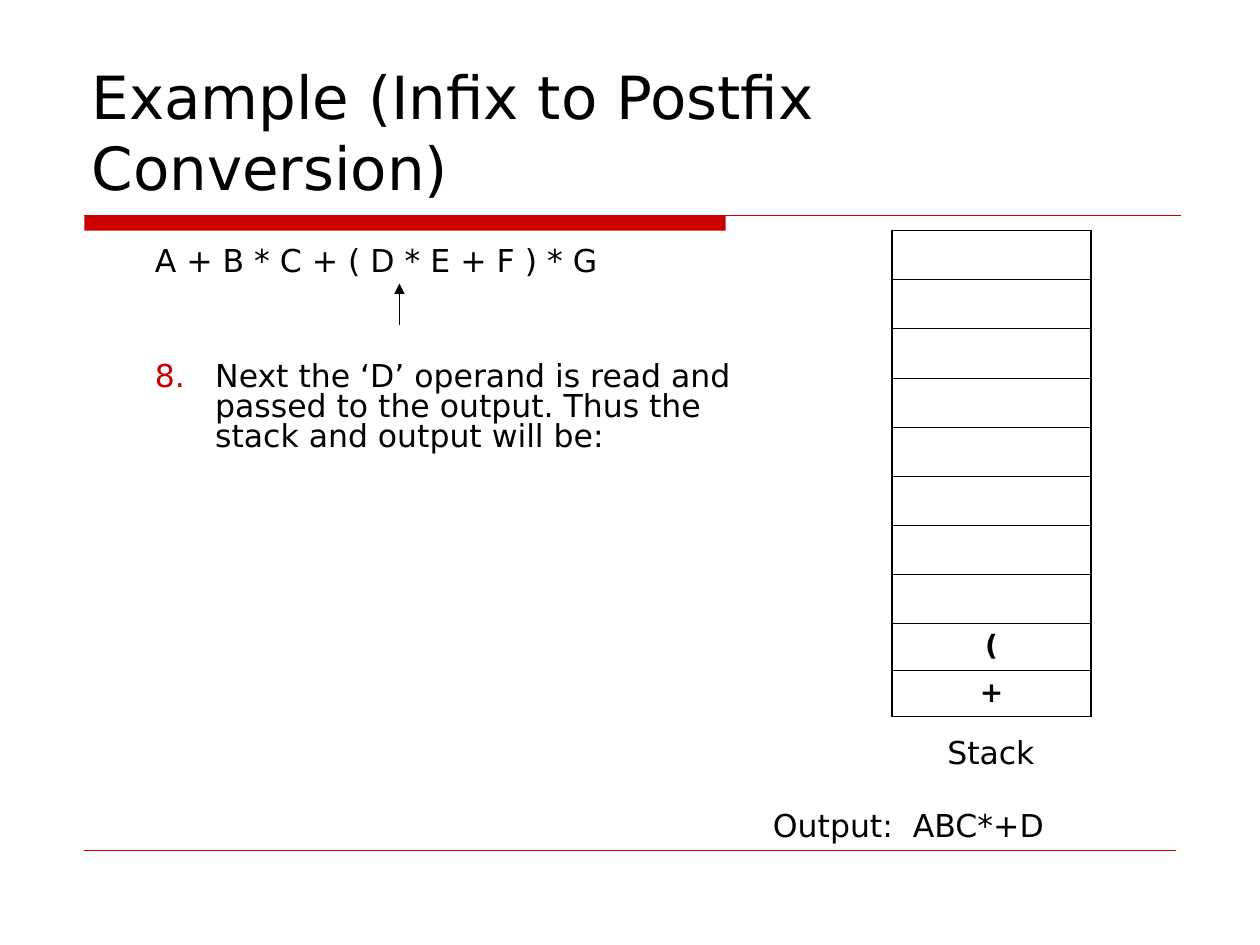
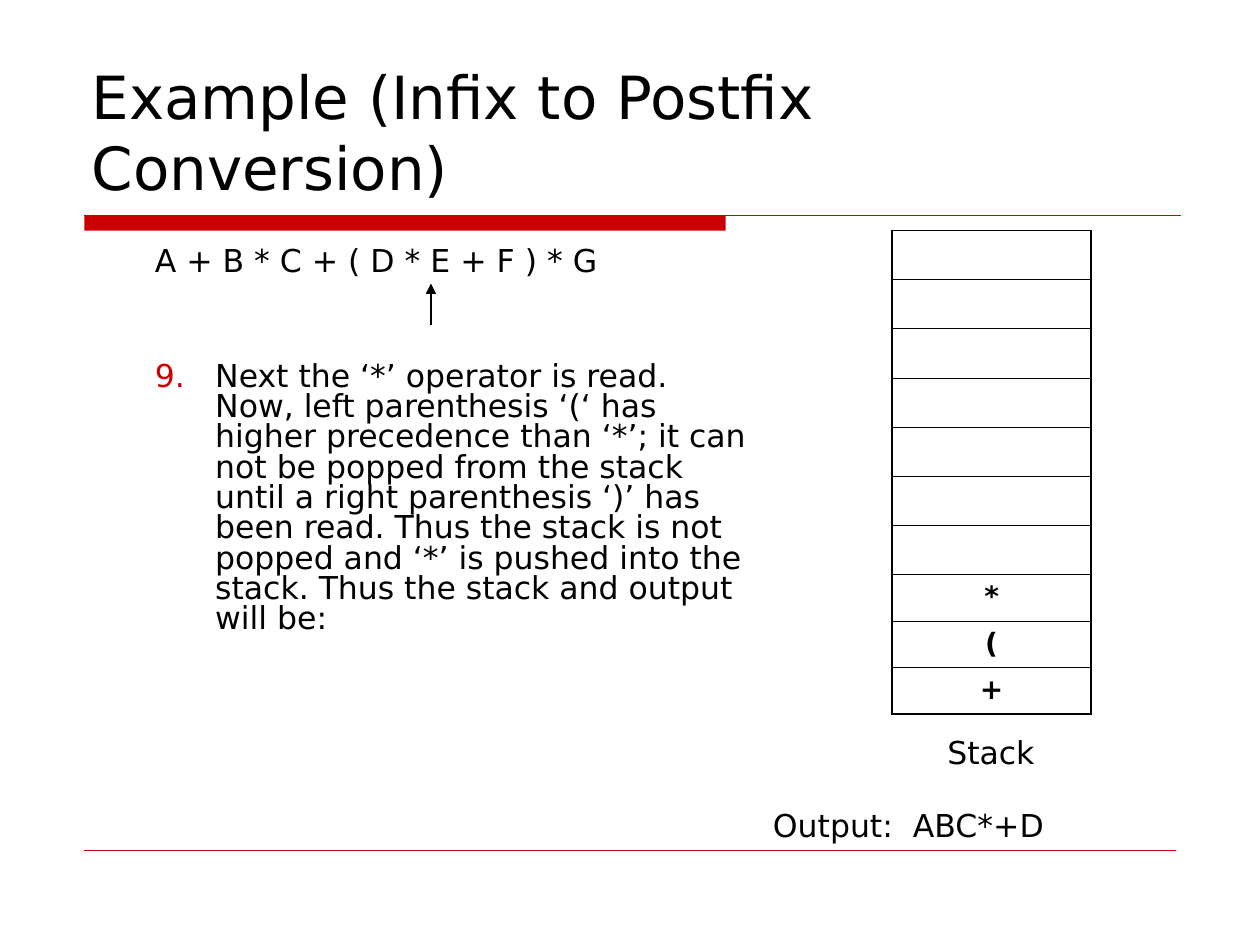
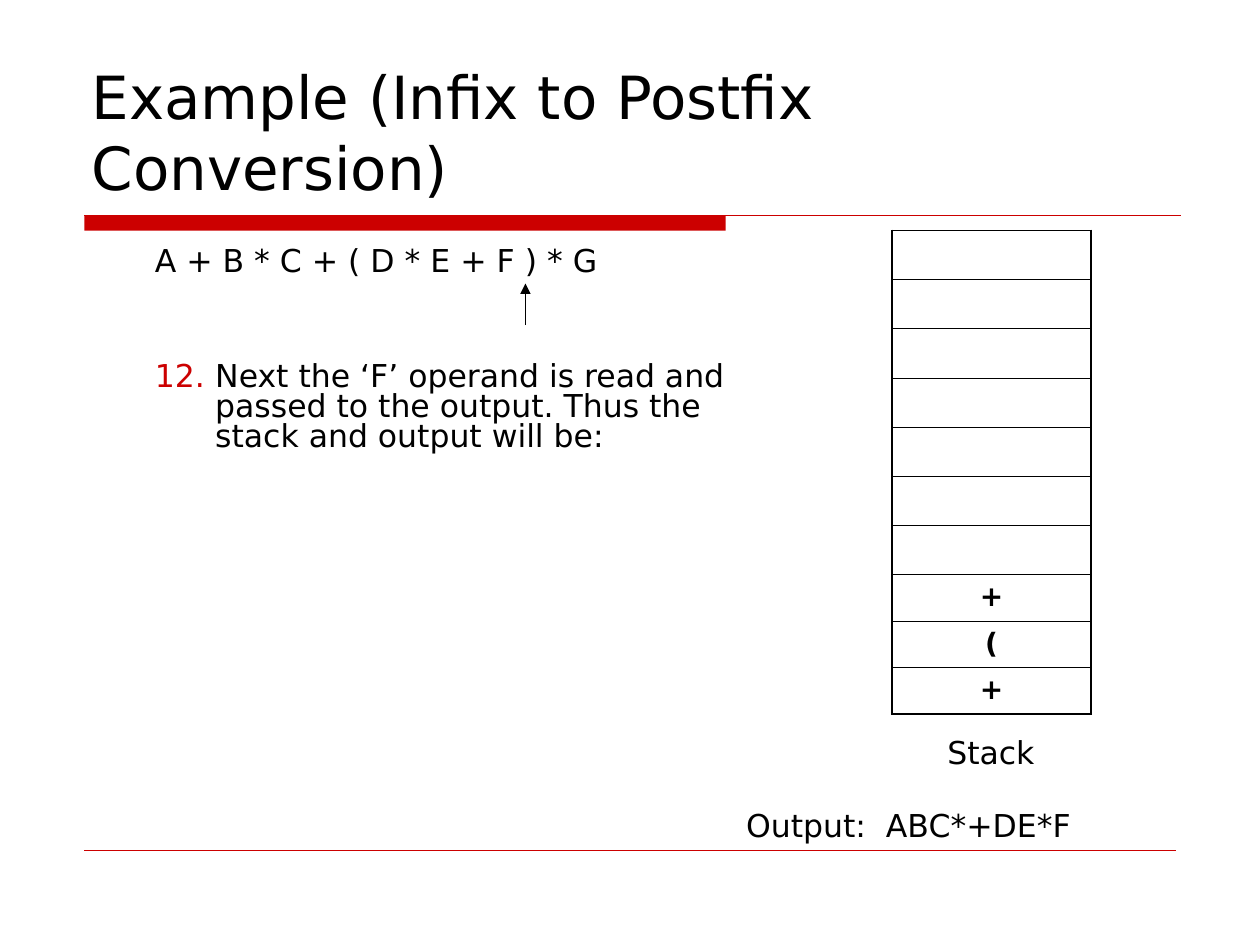
from lxml import etree
from pptx import Presentation
from pptx.dml.color import RGBColor
from pptx.enum.shapes import MSO_CONNECTOR, MSO_SHAPE
from pptx.enum.text import MSO_ANCHOR, PP_ALIGN
from pptx.oxml.ns import qn
from pptx.util import Inches, Pt

STRAIGHT = MSO_CONNECTOR.STRAIGHT
RECTANGLE = MSO_SHAPE.RECTANGLE
TOP, MIDDLE, BOTTOM = MSO_ANCHOR.TOP, MSO_ANCHOR.MIDDLE, MSO_ANCHOR.BOTTOM
LEFT, CENTER = PP_ALIGN.LEFT, PP_ALIGN.CENTER

COLORS = {"accent": "CC0000", "text": "000000"}
FONT = "DejaVu Sans"
TITLE = "Example (Infix to Postfix Conversion)"
EXPRESSION = "A + B * C + ( D * E + F ) * G"
STACK_SIZE = 10
EMPTY_ROW, FILLED_ROW = 0.39, 0.37

# Boxes: left, top, width, height in inches
TITLE_BOX = (0.63, 0.33, 8.75, 1.33)
BAND_BOX = (0.67, 1.71, 8.7, 0.12)
STEP_BOX = (0.62, 1.92, 5.46, 3.92)
STACK_BOX = (7.08, 1.83, 1.58, 3.67)
STACK_LABEL_BOX = (7.42, 5.77, 0.92, 0.4)
OUTPUT_BOX = (4.75, 6.35, 4.92, 0.4)

# Step number, explanation, pointer position, stack from the top down, output
STEPS = [
    (8, "Next the ‘D’ operand is read and passed to the output. "
        "Thus the stack and output will be:",
     3.17, ["(", "+"], "ABC*+D"),
    (9, "Next the ‘*’ operator is read. Now, left parenthesis ‘(‘ has higher "
        "precedence than ‘*’; it can not be popped from the stack until a right "
        "parenthesis ‘)’ has been read. Thus the stack is not popped and ‘*’ is "
        "pushed into the stack. Thus the stack and output will be:",
     3.42, ["*", "(", "+"], "ABC*+D"),
    (12, "Next the ‘F’ operand is read and passed to the output. "
         "Thus the stack and output will be:",
     4.17, ["+", "(", "+"], "ABC*+DE*F"),
]


def rgb(name):
    return RGBColor.from_string(COLORS[name])


def format_paragraph(paragraph, size, align=LEFT, bold=False):
    paragraph.alignment = align
    for run in paragraph.runs:
        run.font.name = FONT
        run.font.size = Pt(size)
        run.font.bold = bold
        run.font.color.rgb = rgb("text")


def add_text(slide, box, text, size=18, align=LEFT, anchor=TOP):
    frame = slide.shapes.add_textbox(*map(Inches, box)).text_frame
    frame.word_wrap = True
    frame.vertical_anchor = anchor
    frame.text = text
    for paragraph in frame.paragraphs:
        format_paragraph(paragraph, size, align)
    return frame


def add_line(slide, start, end, color, width):
    line = slide.shapes.add_connector(STRAIGHT, *map(Inches, (*start, *end)))
    line.line.color.rgb = rgb(color)
    line.line.width = Pt(width)
    etree.SubElement(line._element.spPr, qn("a:effectLst"))
    return line


def add_frame(slide):
    # Title, two-weight band below it, and footer rule
    left, top, width, height = BAND_BOX
    band = slide.shapes.add_shape(
        RECTANGLE, *map(Inches, (left, top, 5.09, height)))
    band.shadow.inherit = False
    band.fill.solid()
    band.fill.fore_color.rgb = rgb("accent")
    band.line.fill.background()
    add_line(slide, (left, top), (left + width, top), "accent", 0.75)
    add_line(slide, (left, 6.75), (9.33, 6.75), "accent", 0.25)
    add_text(slide, TITLE_BOX, TITLE, size=34, anchor=BOTTOM)


def add_step(slide, box, number, explanation, pointer_x):
    # Expression with the numbered explanation under it
    frame = add_text(slide, box, f"{EXPRESSION}\n{explanation}")
    for paragraph in frame.paragraphs:
        properties = paragraph._p.get_or_add_pPr()
        properties.set("marL", str(Inches(0.99)))
        properties.set("indent", str(Inches(-0.48)))
        paragraph.line_spacing = 0.8
    bullet_color = etree.SubElement(properties, qn("a:buClr"))
    etree.SubElement(bullet_color, qn("a:srgbClr"), val=COLORS["accent"])
    etree.SubElement(properties, qn("a:buFont"), typeface=FONT)
    etree.SubElement(properties, qn("a:buAutoNum"),
                     type="arabicPeriod", startAt=str(number))
    paragraph.space_before = Pt(48.5)

    # Pointer to the symbol being read
    top = box[1]
    pointer = add_line(slide, (pointer_x, top + 0.66), (pointer_x, top + 0.33),
                       "text", 0.75)
    etree.SubElement(pointer.line._get_or_add_ln(), qn("a:tailEnd"), type="triangle")


def set_borders(cell, widths):
    properties = cell._tc.get_or_add_tcPr()
    for position, (side, width) in enumerate(widths.items()):
        border = etree.Element(qn(f"a:ln{side}"), w=str(Pt(width)))
        fill = etree.SubElement(border, qn("a:solidFill"))
        etree.SubElement(fill, qn("a:srgbClr"), val=COLORS["text"])
        properties.insert(position, border)


def add_stack(slide, box, symbols):
    table = slide.shapes.add_table(STACK_SIZE, 1, *map(Inches, box)).table
    table.first_row = table.horz_banding = False
    entries = [""] * (STACK_SIZE - len(symbols)) + symbols
    for index, symbol in enumerate(entries):
        table.rows[index].height = Inches(FILLED_ROW if symbol else EMPTY_ROW)
        cell = table.cell(index, 0)
        cell.fill.background()
        set_borders(cell, {
            "L": 1.08, "R": 1.08,
            "T": 1.08 if index == 0 else 0.45,
            "B": 1.08 if index == STACK_SIZE - 1 else 0.45,
        })
        if symbol:
            cell.text_frame.text = symbol
            format_paragraph(cell.text_frame.paragraphs[0], 16, CENTER, bold=True)
        else:
            cell.margin_top = cell.margin_bottom = 0


def add_step_slide(deck, number, explanation, pointer_x, symbols, output):
    slide = deck.slides.add_slide(deck.slide_layouts[6])
    add_frame(slide)
    add_step(slide, STEP_BOX, number, explanation, pointer_x)
    add_stack(slide, STACK_BOX, symbols)
    add_text(slide, STACK_LABEL_BOX, "Stack", anchor=MIDDLE)
    add_text(slide, OUTPUT_BOX, f"Output:  {output}", align=CENTER, anchor=MIDDLE)


def main():
    deck = Presentation()
    deck.slide_width, deck.slide_height = Inches(10), Inches(7.5)
    for step in STEPS:
        add_step_slide(deck, *step)
    deck.save("out.pptx")


if __name__ == "__main__":
    main()
